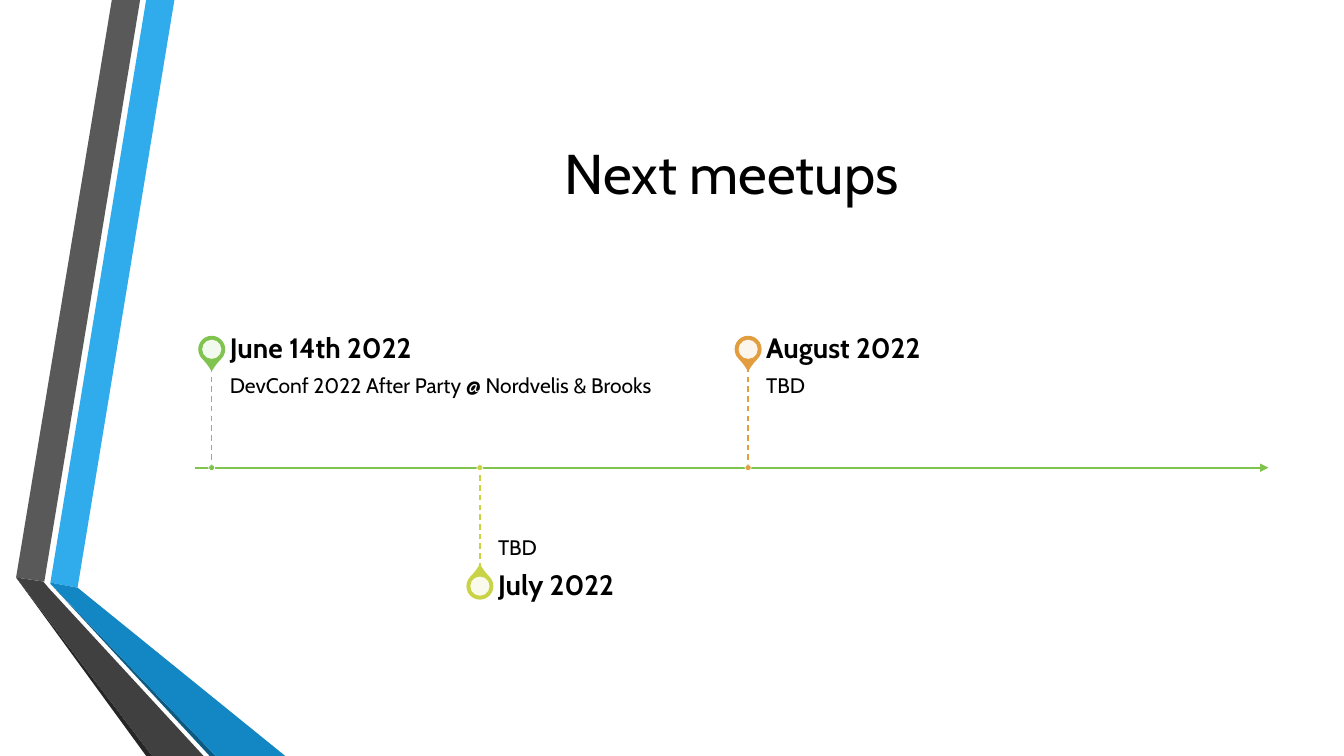
"""Build the timeline slide of the next meetups."""
from pptx import Presentation
from pptx import util as u
from pptx.dml.color import RGBColor
from pptx.enum import dml, shapes, text
from pptx.oxml.ns import qn
from lxml import etree

COLORS = {
    "black": "000000", "white": "FFFFFF", "green": "80C34F", "lime": "C8D346",
    "orange": "E29D3E", "blue": "30ACEC", "mid blue": "1287C3",
    "deep blue": "0C5A82", "gray": "595959", "dark gray": "404040",
    "near black": "262626",
}
RIBBONS = [
    ("blue", [(0.5, 5.78), (0.77, 5.83), (1.73, 0), (1.45, 0)]),
    ("gray", [(1.39, 0), (1.11, 0), (0.16, 5.73), (0.44, 5.77)]),
    ("near black", [(0.16, 5.73), (1.45, 7.5), (1.51, 7.5)]),
    ("deep blue", [(0.5, 5.79), (2.08, 7.5), (2.14, 7.5)]),
    ("mid blue", [(0.5, 5.79), (2.14, 7.5), (2.83, 7.5), (0.77, 5.83), (0.5, 5.78)]),
    ("dark gray", [(2.02, 7.5), (0.48, 5.83), (0.43, 5.77), (0.16, 5.73), (1.51, 7.5)]),
]
MEETUPS = [
    ("June 14th 2022", "DevConf 2022 After Party @ Nordvelis & Brooks", "green"),
    ("July 2022", "TBD", "lime"),
    ("August 2022", "TBD", "orange"),
]
AXIS_LEFT, AXIS_RIGHT, AXIS_Y = 1.93, 12.58, 4.64
FIRST_X, STEP_X = 2.1, 2.66
STEM, LABEL_HEIGHT, LABEL_WIDTH = 1, 0.35, 4.43


def rgb(name):
    return RGBColor.from_string(COLORS[name])


def add_ribbon(page, color, points):
    corners = [(u.Inches(x), u.Inches(y)) for x, y in points]
    builder = page.shapes.build_freeform(*corners[0], scale=1.0)
    builder.add_line_segments(corners[1:], close=True)
    ribbon = builder.convert_to_shape()
    ribbon.shadow.inherit = False
    ribbon.fill.solid()
    ribbon.fill.fore_color.rgb = rgb(color)
    ribbon.line.fill.background()


def add_text(page, words, left, top, width, height, size=15, bold=False,
             anchor=text.MSO_ANCHOR.MIDDLE, align=text.PP_ALIGN.LEFT,
             insets=(0, 0, 0, 0), spacing=0.9):
    box = page.shapes.add_textbox(*map(u.Inches, (left, top, width, height)))
    frame = box.text_frame
    frame.word_wrap = True
    frame.vertical_anchor = anchor
    (frame.margin_left, frame.margin_top,
     frame.margin_right, frame.margin_bottom) = map(u.Inches, insets)
    para = frame.paragraphs[0]
    para.alignment = align
    para.line_spacing = spacing
    span = para.add_run()
    span.text = words
    span.font.name = "Cabin"
    span.font.size = u.Pt(size)
    span.font.bold = bold
    span.font.color.rgb = rgb("black")


def add_line(page, start, end, color, width, dashed=False, arrow=False):
    line = page.shapes.add_connector(
        shapes.MSO_CONNECTOR.STRAIGHT, *map(u.Inches, start + end))
    line.line.color.rgb = rgb(color)
    line.line.width = u.Pt(width)
    if dashed:
        line.line.dash_style = dml.MSO_LINE.DASH
    if arrow:
        outline = line.line._get_or_add_ln()
        etree.SubElement(outline, qn("a:tailEnd"), type="triangle")
    etree.SubElement(line._element.spPr, qn("a:effectLst"))


def add_centered(page, kind, x, y, size, color, outline=None, width=0, alpha=None):
    shape = page.shapes.add_shape(
        kind, *map(u.Inches, (x - size / 2, y - size / 2, size, size)))
    shape.shadow.inherit = False
    shape.fill.solid()
    shape.fill.fore_color.rgb = rgb(color)
    if alpha:
        tint = shape._element.spPr.find(".//" + qn("a:srgbClr"))
        etree.SubElement(tint, qn("a:alpha"), val=str(alpha * 1000))
    if outline:
        shape.line.color.rgb = rgb(outline)
        shape.line.width = u.Pt(width)
    else:
        shape.line.fill.background()
    return shape


def add_meetup(page, index, date, detail, color):
    x = FIRST_X + index * STEP_X
    above = index % 2 == 0
    side = -1 if above else 1
    stem_end = AXIS_Y + side * STEM
    label_y = stem_end + side * LABEL_HEIGHT / 2
    label_left = x + 0.18
    oval = shapes.MSO_SHAPE.OVAL

    pin = add_centered(page, shapes.MSO_SHAPE.TEAR, x, label_y, 0.25, color, color, 1.25)
    pin.adjustments[0] = 1.15
    pin.rotation = 135 if above else 315
    add_centered(page, oval, x, label_y, 0.19, "white", alpha=90)
    add_text(page, detail, label_left, min(stem_end, AXIS_Y), LABEL_WIDTH, STEM,
             anchor=text.MSO_ANCHOR.TOP if above else text.MSO_ANCHOR.BOTTOM,
             insets=(0, 0.1, 0.1, 0.16) if above else (0, 0.16, 0, 0.1))
    add_text(page, date, label_left, label_y - LABEL_HEIGHT / 2, LABEL_WIDTH,
             LABEL_HEIGHT, size=20, bold=True, insets=(0, 0, 0.14, 0))
    add_line(page, (x, stem_end), (x, AXIS_Y), color, 1, dashed=True)
    add_centered(page, oval, x, AXIS_Y, 0.06, color, "white", 0.5)


def main():
    deck = Presentation()
    deck.slide_width, deck.slide_height = u.Inches(13.33), u.Inches(7.5)
    page = deck.slides.add_slide(deck.slide_layouts[6])
    for color, points in RIBBONS:
        add_ribbon(page, color, points)
    add_text(page, "Next meetups", AXIS_LEFT, 0.75, AXIS_RIGHT - AXIS_LEFT, 1.92,
             size=40, align=text.PP_ALIGN.CENTER, insets=(0.1, 0.05, 0.1, 0.05),
             spacing=1.0)
    add_line(page, (AXIS_LEFT, AXIS_Y), (AXIS_RIGHT, AXIS_Y), "green", 1.5, arrow=True)
    for index, meetup in enumerate(MEETUPS):
        add_meetup(page, index, *meetup)
    deck.save("out.pptx")


if __name__ == "__main__":
    main()
